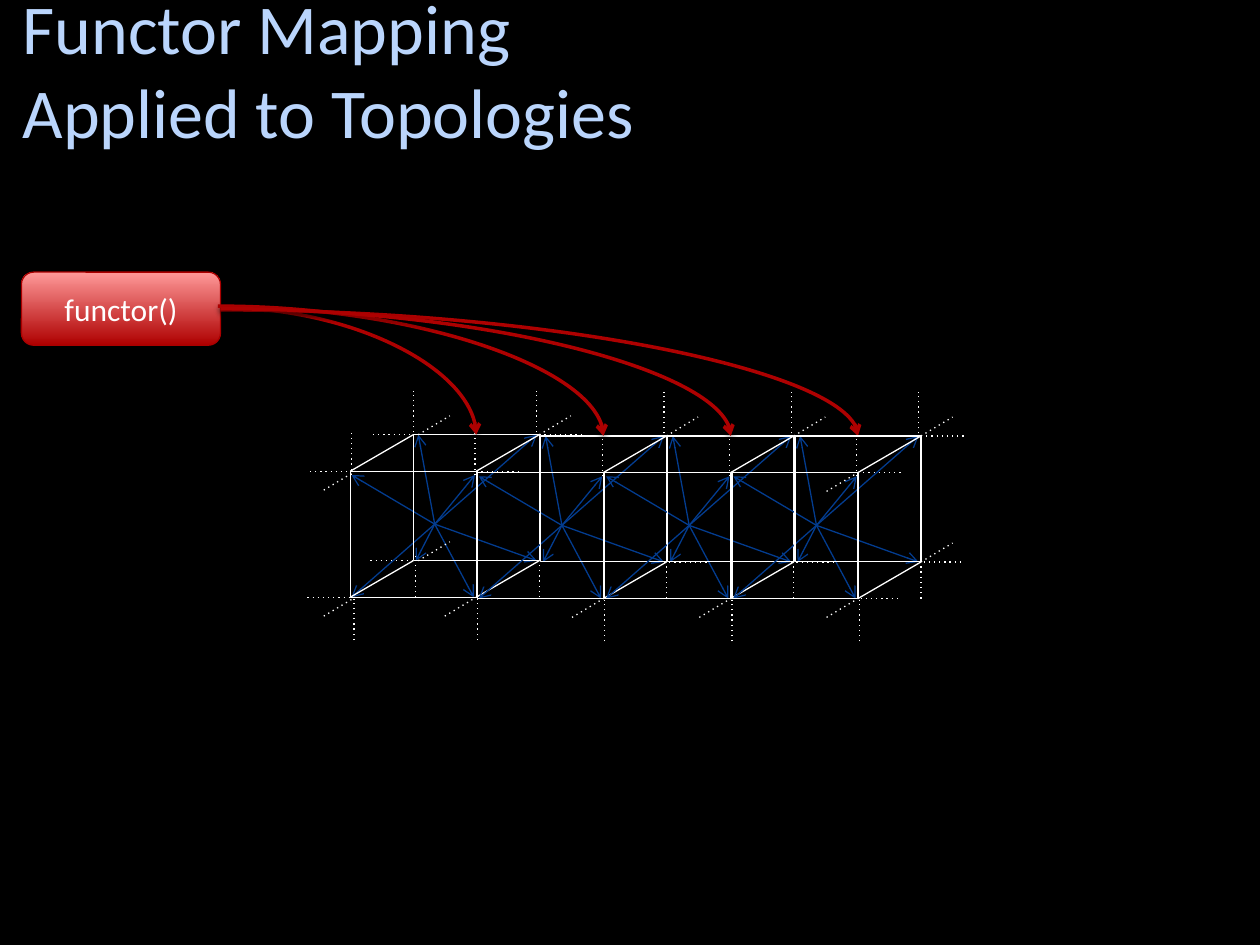
"""Build the slide showing one functor mapped onto every cell of a topology."""
from pptx import Presentation
from pptx.dml.color import RGBColor
from pptx.enum.shapes import MSO_CONNECTOR as Link, MSO_SHAPE as Shape
from pptx.enum.text import MSO_ANCHOR as Anchor, PP_ALIGN as Align
from pptx.oxml.xmlchemy import OxmlElement as Element
from pptx.util import Inches, Pt

BLACK = RGBColor(0x00, 0x00, 0x00)
WHITE = RGBColor(0xFF, 0xFF, 0xFF)
TITLE_BLUE = RGBColor(0xBA, 0xD5, 0xFC)
RAY_BLUE = RGBColor(0x03, 0x3C, 0x8F)
CURVE_RED = RGBColor(0xAD, 0x01, 0x01)
BORDER_RED = RGBColor(0xAA, 0x00, 0x00)
DEEP_RED = RGBColor(0xAE, 0x00, 0x00)
PALE_RED = RGBColor(0xFF, 0x99, 0x99)

COLUMNS, ROWS = 10, 7.5
CELL = Inches(1)
FONT = "Calibri"

CUBES = 4
PITCH = 1.01
LEFT, TOP = 2.78, 3.74
DEPTH = (0.5, -0.29)
CENTRE = (0.67, 0.42)
RAY_ENDS = [(0.01, 0.03), (0.54, -0.29), (1.48, -0.29), (0.99, 0.03),
            (0.52, 0.71), (0.01, 1), (1.48, 0.71), (0.98, 1)]
RIGHT_CORNERS = [(1, 0), (1, 1)]
LEFT_CORNERS = [(0, 0), (0, 1)]

SLANT, ACROSS, UP = (0.25, -0.15), (0.36, 0), (0, -0.33)
EVERY_STUB = {SLANT: [(1.5, -0.29), (0.75, 1.15)],
              ACROSS: [(1, 0), (1.5, -0.29)],
              UP: [(1.48, -0.31), (0.99, 0.03), (1.5, 1), (1.01, 1.34)]}
FIRST_STUBS = {SLANT: [(-0.21, 0.15), (0.54, -0.29), (-0.21, 1.15), (0.54, 0.71)],
               ACROSS: [(-0.32, 0), (0.18, -0.29), (-0.34, 1), (0.16, 0.71)],
               UP: [(0.5, -0.31), (0.01, 0.03), (0.52, 1), (0.03, 1.34)]}
LATER_STUBS = {ACROSS: [(0.98, 1), (1.48, 0.71)]}
LAST_STUBS = {SLANT: [(0.75, 0.15), (1.5, 0.71)]}


def shift(point, step):
    """Return the point moved by the step."""
    return point[0] + step[0], point[1] + step[1]


def grid(*lengths):
    """Turn grid cells into slide units."""
    return [round(length * CELL) for length in lengths]


def add_child(parent, tag, **attributes):
    """Append an XML element with the given attributes."""
    child = Element(tag)
    for name, value in attributes.items():
        child.set(name, str(value))
    parent.append(child)
    return child


def drop_shadow(effects, opacity, distance):
    """Add a soft black shadow falling straight down."""
    shadow = add_child(effects, "a:outerShdw", blurRad=Pt(3.1), dist=Pt(distance),
                       dir=90 * 60000, rotWithShape=0)
    color = add_child(shadow, "a:srgbClr", val=BLACK)
    add_child(color, "a:alpha", val=opacity * 1000)


class TopologySlide:
    """Holds the style and the current slide."""

    def __init__(self, deck):
        """Start a black title-only slide."""
        self.page = deck.slides.add_slide(deck.slide_layouts[5])
        self.page.background.fill.solid()
        self.page.background.fill.fore_color.rgb = BLACK

    def label(self, box, text, size, color, align):
        """Fill a box with vertically centred text."""
        frame = box.text_frame
        frame.text = text
        frame.word_wrap = True
        frame.vertical_anchor = Anchor.MIDDLE
        para = frame.paragraphs[0]
        para.alignment = align
        for span in para.runs:
            span.font.name, span.font.size = FONT, Pt(size)
            span.font.color.rgb = color

    def title(self, text, *area):
        """Place and format the title."""
        box = self.page.shapes.title
        box.left, box.top, box.width, box.height = grid(*area)
        self.label(box, text, 40, TITLE_BLUE, Align.LEFT)

    def button(self, text, *area):
        """Draw a rounded box with a red gradient."""
        box = self.page.shapes.add_shape(Shape.ROUNDED_RECTANGLE, *grid(*area))
        box.fill.gradient()
        box.fill.gradient_angle = 90
        for stop, color in zip(box.fill.gradient_stops, (DEEP_RED, PALE_RED)):
            stop.color.rgb = color
        box.line.color.rgb, box.line.width = BORDER_RED, Pt(0.75)
        box.shadow.inherit = False
        drop_shadow(box._element.spPr.find("{*}effectLst"), 35, 1.8)
        self.label(box, text, 18, WHITE, Align.CENTER)

    def line(self, shapes, start, end, color=WHITE, width=0.75, dotted=False,
             arrow=False, kind=Link.STRAIGHT):
        """Draw a connector and return it with its empty effect list."""
        link = shapes.add_connector(kind, *grid(*start, *end))
        link.line.color.rgb, link.line.width = color, Pt(width)
        stroke = link.line._get_or_add_ln()
        if dotted:
            add_child(stroke, "a:prstDash", val="dot")
        if arrow:
            add_child(stroke, "a:tailEnd", type="arrow")
        return link, add_child(link._element.spPr, "a:effectLst")

    def curve(self, start, end):
        """Draw a red arrow that leaves level and lands straight down."""
        link, effects = self.line(self.page.shapes, start, end, CURVE_RED, 2,
                                  arrow=True, kind=Link.CURVE)
        link._element.spPr.prstGeom.set("prst", "curvedConnector2")
        drop_shadow(effects, 38, 1.6)

    def face(self, shapes, corner):
        """Draw one square face of a cube."""
        box = shapes.add_shape(Shape.RECTANGLE, *grid(*corner, 1, 1))
        box.fill.background()
        box.line.color.rgb, box.line.width = WHITE, Pt(0.75)
        box.shadow.inherit = False

    def cube(self, index):
        """Draw a cube with its rays and the dotted stubs of its neighbours."""
        first, last = index == 0, index == CUBES - 1
        origin = LEFT + PITCH * index, TOP + (0 if first else 0.01)
        shapes = self.page.shapes.add_group_shape().shapes
        for end in RAY_ENDS:
            self.line(shapes, shift(origin, CENTRE), shift(origin, end),
                      RAY_BLUE, arrow=True)
        self.face(shapes, origin)
        self.face(shapes, shift(origin, DEPTH))
        for corner in RIGHT_CORNERS + (LEFT_CORNERS if first else []):
            start = shift(origin, corner)
            self.line(shapes, start, shift(start, DEPTH))
        stub_sets = [EVERY_STUB, FIRST_STUBS if first else LATER_STUBS]
        if last:
            stub_sets.append(LAST_STUBS)
        for stubs in stub_sets:
            for step, starts in stubs.items():
                for point in starts:
                    start = shift(origin, point)
                    self.line(shapes, start, shift(start, step), dotted=True)


def main():
    """Compose and save the deck."""
    deck = Presentation()
    deck.slide_width, deck.slide_height = grid(COLUMNS, ROWS)
    slide = TopologySlide(deck)
    slide.title("Functor Mapping\vApplied to Topologies", 0.08, 0, 8.83, 1.08)
    slide.button("functor()", 0.17, 2.16, 1.58, 0.58)
    slide.cube(0)
    slide.curve((1.75, 2.44), (3.78, 3.45))
    slide.curve((1.75, 2.46), (6.81, 3.46))
    for index in range(1, CUBES):
        slide.cube(index)
    slide.curve((1.73, 2.43), (4.79, 3.46))
    slide.curve((1.75, 2.45), (5.8, 3.46))
    deck.save("out.pptx")


if __name__ == "__main__":
    main()
